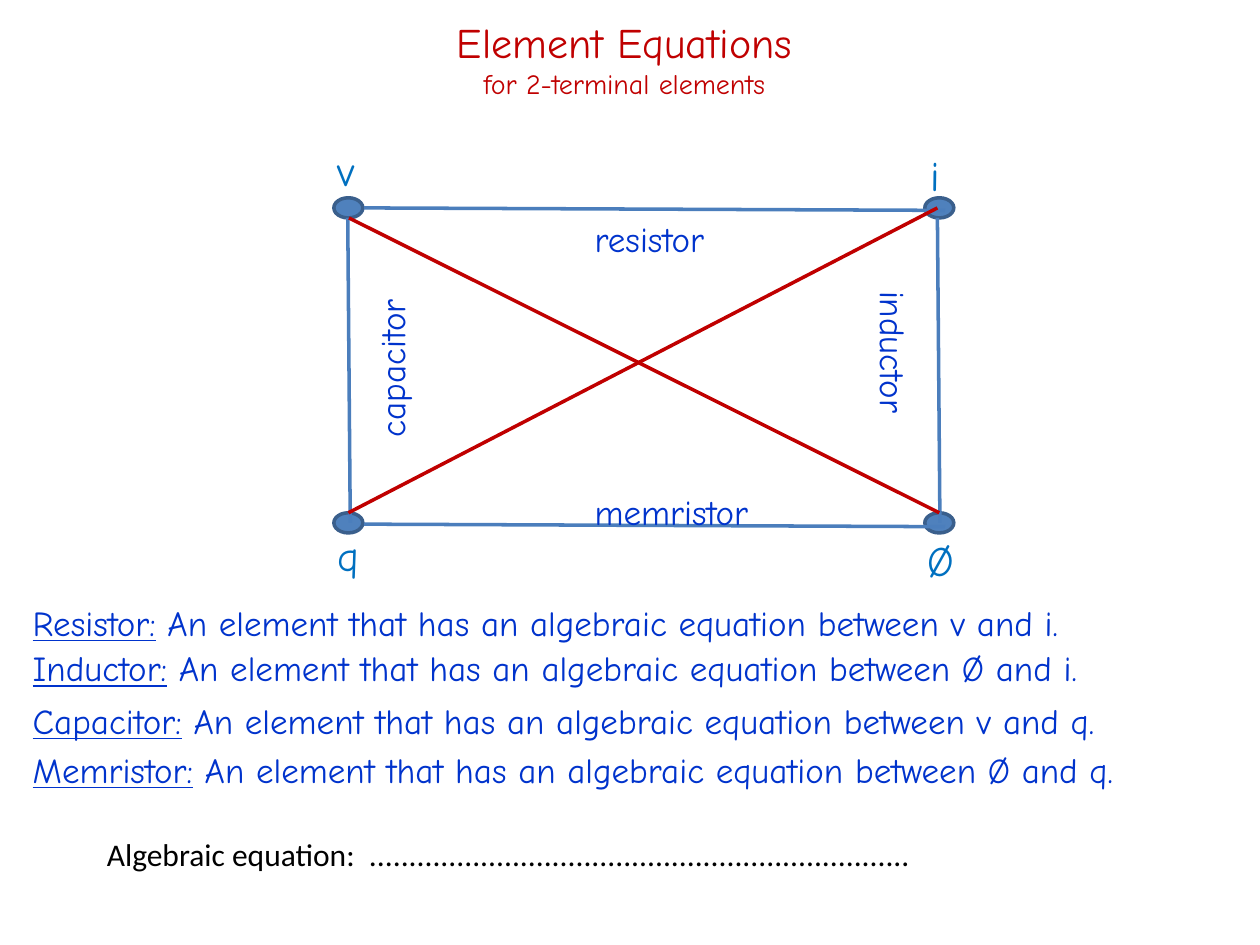
from typing import NamedTuple

from lxml.etree import SubElement
from pptx import Presentation
from pptx.dml.color import RGBColor
from pptx.enum.shapes import MSO_CONNECTOR, MSO_SHAPE
from pptx.enum.text import MSO_ANCHOR, MSO_AUTO_SIZE, PP_ALIGN
from pptx.oxml.ns import qn
from pptx.util import Inches, Pt

COLORS = {
    "title": "C00000", "text": "0033CC", "symbol": "0070C0", "black": "000000",
    "node": "4F81BD", "outline": "3A5F8C", "edge": "4B7EBC", "diagonal": "C00000",
}
FONT = "Comic Neue"
NODE_W, NODE_H = 0.23, 0.16


class Node(NamedTuple):
    symbol: str
    x: float
    y: float
    label_x: float
    label_y: float
    label_w: float


class Label(NamedTuple):
    text: str
    x: float
    y: float
    w: float
    rotation: int = 0


class Definition(NamedTuple):
    term: str
    pair: str
    gap: float


class Line(NamedTuple):
    x1: float
    y1: float
    x2: float
    y2: float


NODES = [
    Node("v", 2.65, 1.57, 2.58, 1.1, 0.36),
    Node("i", 7.34, 1.57, 7.29, 1.14, 0.3),
    Node("q", 2.65, 4.07, 2.58, 4.15, 0.38),
    Node("Ø", 7.34, 4.07, 7.26, 4.19, 0.47),
]
EDGES = [
    Line(2.89, 1.65, 7.5, 1.67), Line(2.89, 4.16, 7.5, 4.18),
    Line(7.44, 1.73, 7.46, 4.15), Line(2.76, 1.73, 2.78, 4.15),
]
# Each diagonal starts at the top of a lower node
DIAGONALS = {"q": Line(2.77, 4.07, 7.44, 1.65), "Ø": Line(7.46, 4.07, 2.77, 1.73)}
LABELS = [
    Label("resistor", 4.53, 1.68, 1.33),
    Label("inductor", 6.24, 2.75, 1.7, 90),
    Label("capacitor", 2.34, 2.67, 1.54, 270),
    Label("memristor", 4.53, 3.84, 1.56),
]
DEFINITIONS = [
    Definition("Resistor", "v and i", 0),
    Definition("Inductor", "Ø and i", 2),
    Definition("Capacitor", "v and q", 6),
    Definition("Memristor", "Ø and q", 4),
]


def rgb(name: str) -> RGBColor:
    return RGBColor.from_string(COLORS[name])


def add_run(p, text: str, *, size: float = 20, color: str = "text",
            font: str = FONT, underline: bool = False) -> None:
    r = p.add_run()
    r.text = text
    r.font.size = Pt(size)
    r.font.name = font
    r.font.underline = underline
    r.font.color.rgb = rgb(color)


def place(sp, x: float, y: float, w: float, h: float):
    sp.left, sp.top, sp.width, sp.height = map(Inches, (x, y, w, h))
    tf = sp.text_frame
    tf.auto_size = MSO_AUTO_SIZE.NONE
    tf.vertical_anchor = MSO_ANCHOR.TOP
    tf.word_wrap = True
    return tf


def add_text(s, x: float, y: float, w: float, h: float):
    return place(s.shapes.add_textbox(0, 0, 0, 0), x, y, w, h)


def add_line(s, line: Line, color: str):
    cx = s.shapes.add_connector(MSO_CONNECTOR.STRAIGHT, *map(Inches, line))
    cx.line.color.rgb = rgb(color)
    cx.line.width = Pt(2)
    SubElement(cx._element.spPr, qn("a:effectLst"))
    return cx


def add_node(s, node: Node):
    sp = s.shapes.add_shape(MSO_SHAPE.OVAL, *map(Inches, (node.x, node.y, NODE_W, NODE_H)))
    sp.shadow.inherit = False
    sp.fill.solid()
    sp.fill.fore_color.rgb = rgb("node")
    sp.line.color.rgb = rgb("outline")
    sp.line.width = Pt(2)
    tf = add_text(s, node.label_x, node.label_y, node.label_w, 0.5)
    tf.word_wrap = False
    add_run(tf.paragraphs[0], node.symbol, size=24, color="symbol")
    return sp


def add_label(s, label: Label) -> None:
    sp = s.shapes.add_textbox(0, 0, 0, 0)
    tf = place(sp, label.x, label.y, label.w, 0.44)
    tf.margin_left = Inches(0.19)
    sp.rotation = label.rotation
    add_run(tf.paragraphs[0], label.text)


def add_definition(p, item: Definition) -> None:
    pPr = p._p.get_or_add_pPr()
    pPr.set("marL", "0")
    pPr.set("indent", "0")
    SubElement(pPr, qn("a:buNone"))
    p.space_before = Pt(item.gap)
    add_run(p, f"{item.term}:", underline=True)
    add_run(p, f" An element that has an algebraic equation between {item.pair}.")


def main() -> None:
    prs = Presentation()
    prs.slide_width, prs.slide_height = Inches(10), Inches(7.5)
    s = prs.slides.add_slide(prs.slide_layouts[1])

    # Title and subtitle
    tf = place(s.shapes.title, 1.09, 0.08, 7.73, 0.77)
    for p, text, size in (
        (tf.paragraphs[0], "Element Equations", 24),
        (tf.add_paragraph(), "for 2-terminal elements", 16),
    ):
        p.alignment = PP_ALIGN.CENTER
        add_run(p, text, size=size, color="title")

    # Diagram of the four variables and the elements linking them
    nodes = {node.symbol: add_node(s, node) for node in NODES}
    for edge in EDGES:
        add_line(s, edge, "edge")
    for label in LABELS:
        add_label(s, label)
    for symbol, diagonal in DIAGONALS.items():
        add_line(s, diagonal, "diagonal").begin_connect(nodes[symbol], 0)

    # Definitions
    tf = place(s.placeholders[1], 0.16, 4.72, 9.77, 1.61)
    for i, item in enumerate(DEFINITIONS):
        add_definition(tf.add_paragraph() if i else tf.paragraphs[0], item)

    # Line to fill in, dots aligned on a tab stop
    p = add_text(s, 0.75, 6.58, 6.59, 0.4).paragraphs[0]
    tabs = SubElement(p._p.get_or_add_pPr(), qn("a:tabLst"))
    SubElement(tabs, qn("a:tab"), pos=str(Inches(2.08)), algn="l")
    add_run(p, "Algebraic equation:\t" + "." * 68, size=18, color="black", font="Calibri")

    prs.save("out.pptx")


if __name__ == "__main__":
    main()
